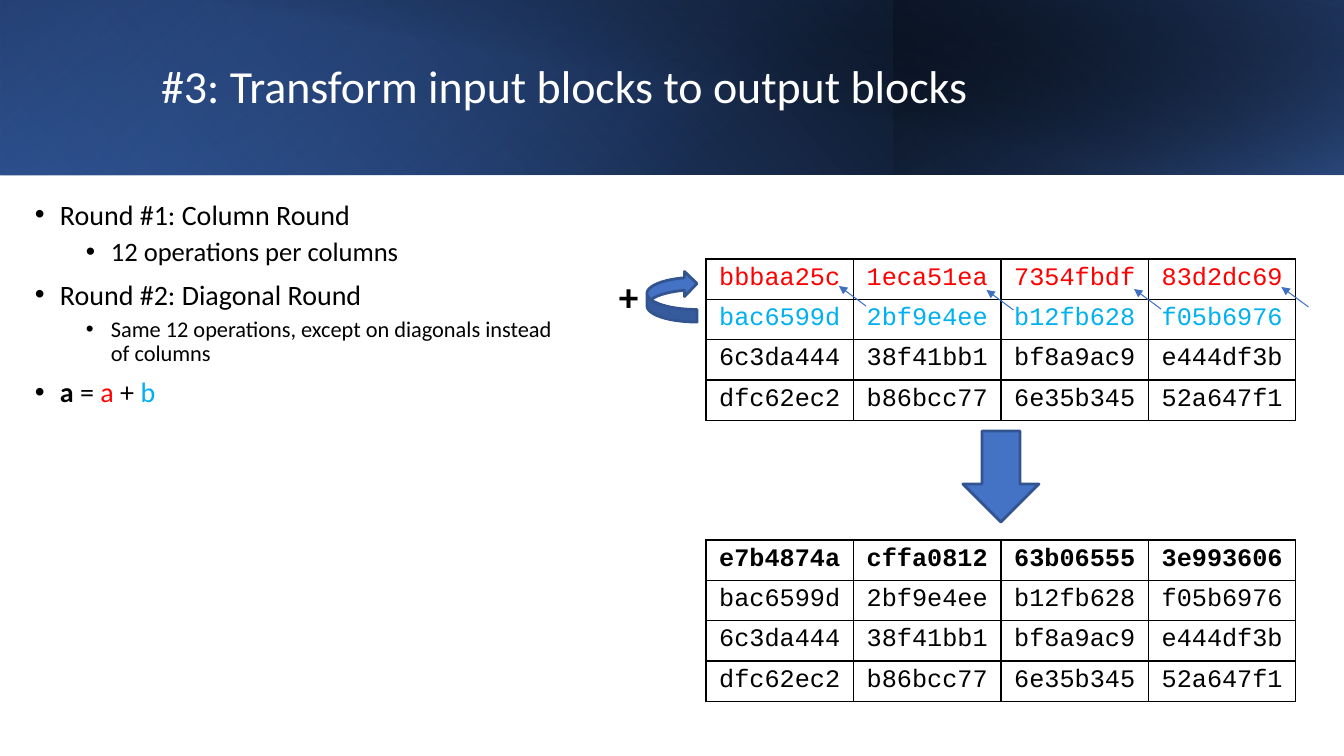
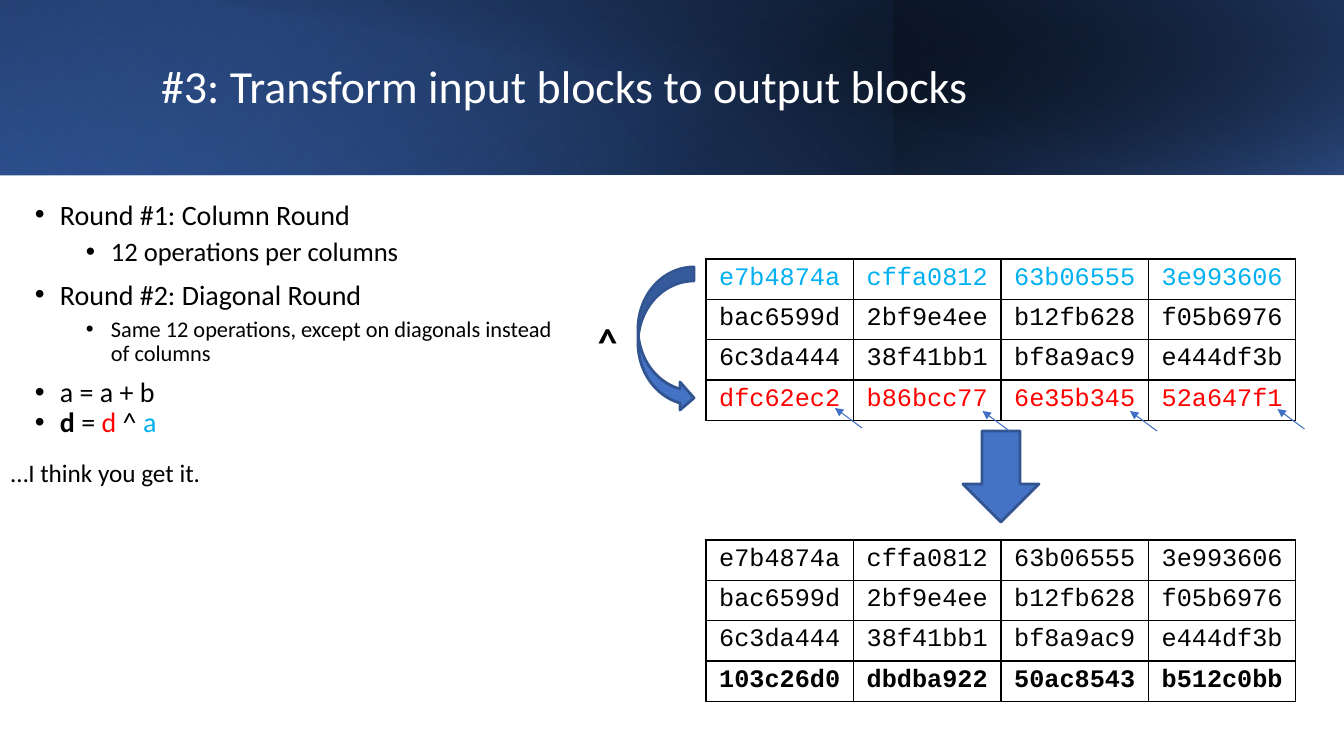
from lxml.etree import SubElement
from pptx import Presentation
from pptx.dml.color import RGBColor
from pptx.enum.shapes import MSO_CONNECTOR, MSO_SHAPE
from pptx.enum.text import MSO_ANCHOR, MSO_AUTO_SIZE, PP_ALIGN
from pptx.oxml import parse_xml
from pptx.oxml.ns import nsdecls, qn
from pptx.util import Emu, Pt

EMU_PER_PX = 914400 / 100.8
SLIDE_SIZE = (1344, 756)

BLACK, WHITE, RED, CYAN = "000000", "FFFFFF", "FF0000", "00B0F0"
BLUE, NAVY, OUTLINE, POINTER = "4472C4", "203864", "325491", "3F6FC3"
BODY_FONT, CODE_FONT = "Calibri", "Courier New"

TITLE = "#3: Transform input blocks to output blocks"
TITLE_BOX = (151, 32, 1091, 114)
# box, rotation, flipped, angle, stops of (position, colour, opacity)
BANDS = [
    ((0, 0, 1344, 175), 0, True, 40, [(0, BLACK, 100), (100, "2F5597", 100)]),
    ((0, 0, 894, 175), 180, True, 130, [(20, BLUE, 0), (100, NAVY, 55)]),
    ((894, 0, 450, 175), 0, True, 320, [(0, BLUE, 66), (100, BLACK, 30)]),
    ((50, 0, 1294, 176), 0, False, 280, [(50, BLACK, 0), (100, NAVY, 52)]),
]

ROUNDS_BOX = (25, 196, 545, 175)
# level, size, text
ROUNDS = [
    (0, 20, "Round #1: Column Round"),
    (1, 19, "12 operations per columns"),
    (0, 20, "Round #2: Diagonal Round"),
    (1, 16, "Same 12 operations, except on diagonals instead of columns"),
]
INDENTS, HANGING = (25, 76), 25
SPACES_BEFORE = (10, 5)

STEPS_BOX = (25, 373, 545, 373)
BEFORE_BOX = (706, 259, 590, 161)
AFTER_BOX = (706, 540, 590, 161)
DOWN_ARROW_BOX = (963, 431, 76, 91)
POINTER_SPAN = (27, 20)

INPUT_A = "bbbaa25c 1eca51ea 7354fbdf 83d2dc69"
SUMMED_A = "e7b4874a cffa0812 63b06555 3e993606"
ROW_B = "bac6599d 2bf9e4ee b12fb628 f05b6976"
ROW_C = "6c3da444 38f41bb1 bf8a9ac9 e444df3b"
INPUT_D = "dfc62ec2 b86bcc77 6e35b345 52a647f1"
XORED_D = "103c26d0 dbdba922 50ac8543 b512c0bb"

SLIDES = [
    {
        "steps": [[("a", BLACK, True), (" = ", BLACK, False), ("a", RED, False),
                   (" + ", BLACK, False), ("b", CYAN, False)]],
        "before": [INPUT_A, ROW_B, ROW_C, INPUT_D],
        "row_colors": {0: RED, 1: CYAN},
        "after": [SUMMED_A, ROW_B, ROW_C, INPUT_D],
        "bold_row": 0,
        "pointer_left": 839,
        "pointer_tops": (286, 290, 289, 287),
        "curve": (MSO_SHAPE.CURVED_LEFT_ARROW, (647, 271, 50, 51), 180),
        "operator": ("+", (609, 267, 48, 57)),
        "remark": None,
    },
    {
        "steps": [[("a = a + b", BLACK, False)],
                  [("d", BLACK, True), (" = ", BLACK, False), ("d", RED, False),
                   (" ^ ", BLACK, False), ("a", CYAN, False)]],
        "before": [SUMMED_A, ROW_B, ROW_C, INPUT_D],
        "row_colors": {0: CYAN, 3: RED},
        "after": [SUMMED_A, ROW_B, ROW_C, XORED_D],
        "bold_row": 3,
        "pointer_left": 835,
        "pointer_tops": (408, 411, 411, 409),
        "curve": (MSO_SHAPE.CURVED_RIGHT_ARROW, (638, 267, 56, 145), 0),
        "operator": ("^", (588, 312, 48, 57)),
        "remark": ("…I think you get it.", (1, 452, 261, 40)),
    },
]


def px(*lengths):
    return [Emu(round(length * EMU_PER_PX)) for length in lengths]


def rgb(color):
    return RGBColor.from_string(color)


def add_run(paragraph, text, size, color=BLACK, bold=False, font=BODY_FONT):
    run = paragraph.add_run()
    run.text = text
    formats = {"name": font, "size": Pt(size), "bold": bold}
    for attribute, value in formats.items():
        setattr(run.font, attribute, value)
    run.font.color.rgb = rgb(color)


def add_bullet(paragraph, level, space_before):
    formats = {"level": level, "line_spacing": 0.9, "space_before": Pt(space_before)}
    for attribute, value in formats.items():
        setattr(paragraph, attribute, value)
    margin, hanging = px(INDENTS[level], HANGING)
    properties = paragraph._p.get_or_add_pPr()
    properties.set("marL", str(margin))
    properties.set("indent", str(-hanging))
    SubElement(properties, qn("a:buFont")).set("typeface", "Arial")
    SubElement(properties, qn("a:buChar")).set("char", "•")


def add_text_frame(slide, box, wrap=True):
    frame = slide.shapes.add_textbox(*px(*box)).text_frame
    frame.word_wrap = wrap
    return frame


def paragraphs_of(frame, count):
    """Give the frame's first paragraph, then new ones up to count."""
    return [frame.add_paragraph() if i else frame.paragraphs[0] for i in range(count)]


def add_plain_shape(slide, kind, box, rotation=0):
    shape = slide.shapes.add_shape(kind, *px(*box))
    shape.rotation = rotation
    shape.shadow.inherit = False
    return shape


def add_band(slide, box, rotation, flipped, angle, stops):
    band = add_plain_shape(slide, MSO_SHAPE.RECTANGLE, box, rotation)
    band.line.fill.background()
    properties = band._element.spPr
    if flipped:
        properties.xfrm.set("flipH", "1")
    stop_xml = "".join(
        f'<a:gs pos="{position * 1000}"><a:srgbClr val="{color}">'
        f'<a:alpha val="{opacity * 1000}"/></a:srgbClr></a:gs>'
        for position, color, opacity in stops)
    properties.insert(2, parse_xml(
        f'<a:gradFill {nsdecls("a")} rotWithShape="1"><a:gsLst>{stop_xml}</a:gsLst>'
        f'<a:lin ang="{angle * 60000}" scaled="0"/></a:gradFill>'))


def add_header(slide):
    for band in BANDS:
        add_band(slide, *band)
    title = slide.shapes.title
    slide.shapes._spTree.append(title._element)
    title.left, title.top, title.width, title.height = px(*TITLE_BOX)
    frame = title.text_frame
    formats = {"vertical_anchor": MSO_ANCHOR.MIDDLE, "word_wrap": True,
               "auto_size": MSO_AUTO_SIZE.NONE}
    for attribute, value in formats.items():
        setattr(frame, attribute, value)
    heading = frame.paragraphs[0]
    heading.alignment = PP_ALIGN.LEFT
    heading.line_spacing = 0.9
    add_run(heading, TITLE, 32.8, WHITE)


def add_rounds(slide):
    frame = add_text_frame(slide, ROUNDS_BOX)
    for paragraph, (level, size, text) in zip(paragraphs_of(frame, len(ROUNDS)), ROUNDS):
        add_bullet(paragraph, level, SPACES_BEFORE[level])
        add_run(paragraph, text, size)


def add_steps(slide, steps):
    frame = add_text_frame(slide, STEPS_BOX)
    for paragraph, step in zip(paragraphs_of(frame, len(steps)), steps):
        add_bullet(paragraph, 0, 0)
        for text, color, bold in step:
            add_run(paragraph, text, 20, color, bold)


def add_borders(cell):
    properties = cell._tc.get_or_add_tcPr()
    for position, side in enumerate("LRTB"):
        properties.insert(position, parse_xml(
            f'<a:ln{side} {nsdecls("a")} w="{Pt(0.96)}"><a:solidFill>'
            f'<a:srgbClr val="{BLACK}"/></a:solidFill></a:ln{side}>'))


def add_block(slide, box, words, row_colors, bold_row=None):
    rows = [line.split() for line in words]
    table = slide.shapes.add_table(len(rows), len(rows[0]), *px(*box)).table
    table.first_row = table.horz_banding = False
    for r, row in enumerate(rows):
        for c, word in enumerate(row):
            cell = table.cell(r, c)
            cell.fill.background()
            add_borders(cell)
            paragraph = cell.text_frame.paragraphs[0]
            paragraph.alignment = PP_ALIGN.CENTER
            add_run(paragraph, word, 18, row_colors.get(r, BLACK), r == bold_row, CODE_FONT)


def add_block_arrow(slide, kind, box, rotation=0):
    arrow = add_plain_shape(slide, kind, box, rotation)
    arrow.fill.solid()
    arrow.fill.fore_color.rgb = rgb(BLUE)
    arrow.line.color.rgb = rgb(OUTLINE)
    arrow.line.width = Pt(2)


def add_pointers(slide, first_left, tops):
    """Point at the end of the word in each column."""
    column_width = BEFORE_BOX[2] / len(tops)
    width, height = POINTER_SPAN
    for column, top in enumerate(tops):
        left = first_left + column * column_width
        pointer = slide.shapes.add_connector(
            MSO_CONNECTOR.STRAIGHT, *px(left + width, top + height, left, top))
        pointer.line.color.rgb = rgb(POINTER)
        pointer.line.width = Pt(0.75)
        SubElement(pointer.line._get_or_add_ln(), qn("a:tailEnd")).set("type", "triangle")
        SubElement(pointer._element.spPr, qn("a:effectLst"))


def build_slide(deck, content):
    slide = deck.slides.add_slide(deck.slide_layouts[5])
    add_header(slide)
    add_rounds(slide)
    add_block(slide, BEFORE_BOX, content["before"], content["row_colors"])
    add_steps(slide, content["steps"])
    add_block_arrow(slide, MSO_SHAPE.DOWN_ARROW, DOWN_ARROW_BOX)
    add_block(slide, AFTER_BOX, content["after"], {}, content["bold_row"])
    add_pointers(slide, content["pointer_left"], content["pointer_tops"])
    add_block_arrow(slide, *content["curve"])
    operator, operator_box = content["operator"]
    add_run(add_text_frame(slide, operator_box).paragraphs[0], operator, 28, bold=True)
    if content["remark"]:
        remark, remark_box = content["remark"]
        add_run(add_text_frame(slide, remark_box, wrap=False).paragraphs[0], remark, 18)


def main():
    deck = Presentation()
    deck.slide_width, deck.slide_height = px(*SLIDE_SIZE)
    for content in SLIDES:
        build_slide(deck, content)
    deck.save("out.pptx")


if __name__ == "__main__":
    main()
